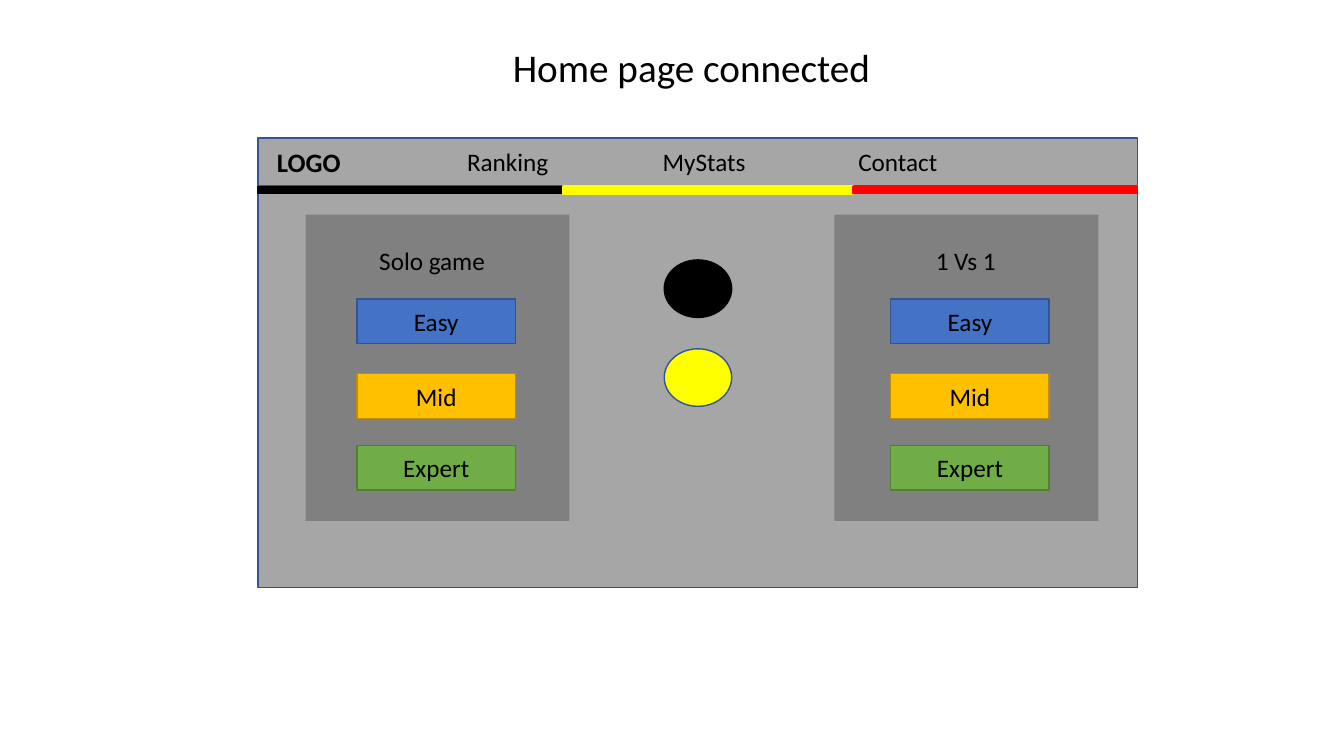
from lxml import etree
from pptx import Presentation
from pptx.dml.color import RGBColor
from pptx.enum.shapes import MSO_SHAPE
from pptx.enum.text import MSO_ANCHOR, MSO_AUTO_SIZE, PP_ALIGN
from pptx.oxml.ns import qn
from pptx.util import Cm, Pt

RECT, DISC = MSO_SHAPE.RECTANGLE, MSO_SHAPE.FLOWCHART_CONNECTOR
LEFT, CENTER = PP_ALIGN.LEFT, PP_ALIGN.CENTER
TOP, MIDDLE = MSO_ANCHOR.TOP, MSO_ANCHOR.MIDDLE
NO_AUTOFIT = MSO_AUTO_SIZE.NONE

COLORS = {
    "black": "000000", "yellow": "FFFF00", "red": "FF0000",
    "page": "A6A6A6", "panel": "808080",
    "blue": "4472C4", "blue_edge": "325491",
    "gold": "FFC000", "gold_edge": "BD8E00",
    "green": "70AD47", "green_edge": "538035",
}
FONT = {"name": "Calibri", "size": Pt(18), "bold": False}
LEVELS = [("Easy", "blue", 2.13), ("Mid", "gold", 4.01), ("Expert", "green", 5.82)]


def color(name):
    return RGBColor.from_string(COLORS[name])


def write(holder, text, align=LEFT, anchor=TOP, **changes):
    frame = holder.text_frame
    for key, value in {"word_wrap": True, "auto_size": NO_AUTOFIT,
                       "vertical_anchor": anchor}.items():
        setattr(frame, key, value)
    paragraph = frame.paragraphs[0]
    paragraph.alignment = align
    run = paragraph.add_run()
    run.text = text
    for key, value in {**FONT, **changes}.items():
        setattr(run.font, key, value)
    run.font.color.rgb = color("black")
    return paragraph


def add_block(slide, kind, box, fill, edge=None, weight=1):
    block = slide.shapes.add_shape(kind, *map(Cm, box))
    block.shadow.inherit = False
    block.fill.solid()
    block.fill.fore_color.rgb = color(fill)
    if edge:
        block.line.color.rgb = color(edge)
        block.line.width = Pt(weight)
    else:
        block.line.fill.background()
    return block


def add_label(slide, box, text, **style):
    write(slide.shapes.add_textbox(*map(Cm, box)), text, **style)


def place_title(slide, box):
    title = slide.shapes.title
    for side, length in zip(("left", "top", "width", "height"), box):
        setattr(title, side, Cm(length))
    write(title, "Home page connected", size=Pt(28))


def draw_navigation(slide, box):
    left, top, width, height = box
    bar = add_block(slide, RECT, box, "page", "blue_edge")
    menu = write(bar, "\tRanking\tMyStats\tContact", anchor=MIDDLE)
    # Evenly spaced tab stops for the menu entries
    tabs = etree.SubElement(menu._p.get_or_add_pPr(), qn("a:tabLst"))
    for entry in range(3):
        etree.SubElement(tabs, qn("a:tab"), pos=str(Cm(5.02 + 4.93 * entry)), algn="l")
    add_label(slide, (left + 0.23, top + 0.08, 2.21, 1.07), "LOGO",
              size=Pt(19), bold=True)


def draw_stripes(slide, box):
    left, top, width, height = box
    for shade, offset, length, weight in [("yellow", 7.7, 7.29, 1.5),
                                          ("red", 14.99, 7.18, 1),
                                          ("black", 0, 7.65, 1)]:
        add_block(slide, RECT, (left + offset, top, length, height),
                  shade, shade, weight)


def draw_game_panel(slide, box, heading, indent):
    left, top, width, height = box
    add_block(slide, RECT, box, "panel")
    add_label(slide, (left + indent, top + 0.64, 3.78, 1.02), heading, align=CENTER)
    for level, shade, offset in LEVELS:
        button = add_block(slide, RECT, (left + indent, top + offset, 3.99, 1.12),
                           shade, shade + "_edge")
        write(button, level, align=CENTER, anchor=MIDDLE)


def draw_tokens(slide, box):
    left, top, width, height = box
    token_height = 1.45
    for shade, edge, offset in [("black", "black", 0),
                                ("yellow", "blue_edge", height - token_height)]:
        add_block(slide, DISC, (left, top + offset, width, token_height), shade, edge)


def draw_home_page(slide, box):
    left, top, width, height = box
    body_top = top + 1.22
    draw_navigation(slide, (left, top, width, 1.19))
    add_block(slide, RECT, (left, body_top, width, height - 1.22), "page", "blue_edge")
    draw_stripes(slide, (left, body_top, width, 0.18))
    # Game choices on both sides of the tokens
    for heading, offset, indent in [("Solo game", 1.2, 1.3), ("1 Vs 1", 14.53, 1.42)]:
        draw_game_panel(slide, (left + offset, top + 1.93, 6.65, 7.72), heading, indent)
    draw_tokens(slide, (left + 10.24, top + 3.07, 1.7, 3.69))


def main():
    deck = Presentation()
    deck.slide_width, deck.slide_height = Cm(33.87), Cm(19.05)
    slide = deck.slides.add_slide(deck.slide_layouts[5])
    place_title(slide, (12.67, 0.97, 9.68, 1.45))
    draw_home_page(slide, (6.5, 3.48, 22.17, 11.33))
    deck.save("out.pptx")


if __name__ == "__main__":
    main()
